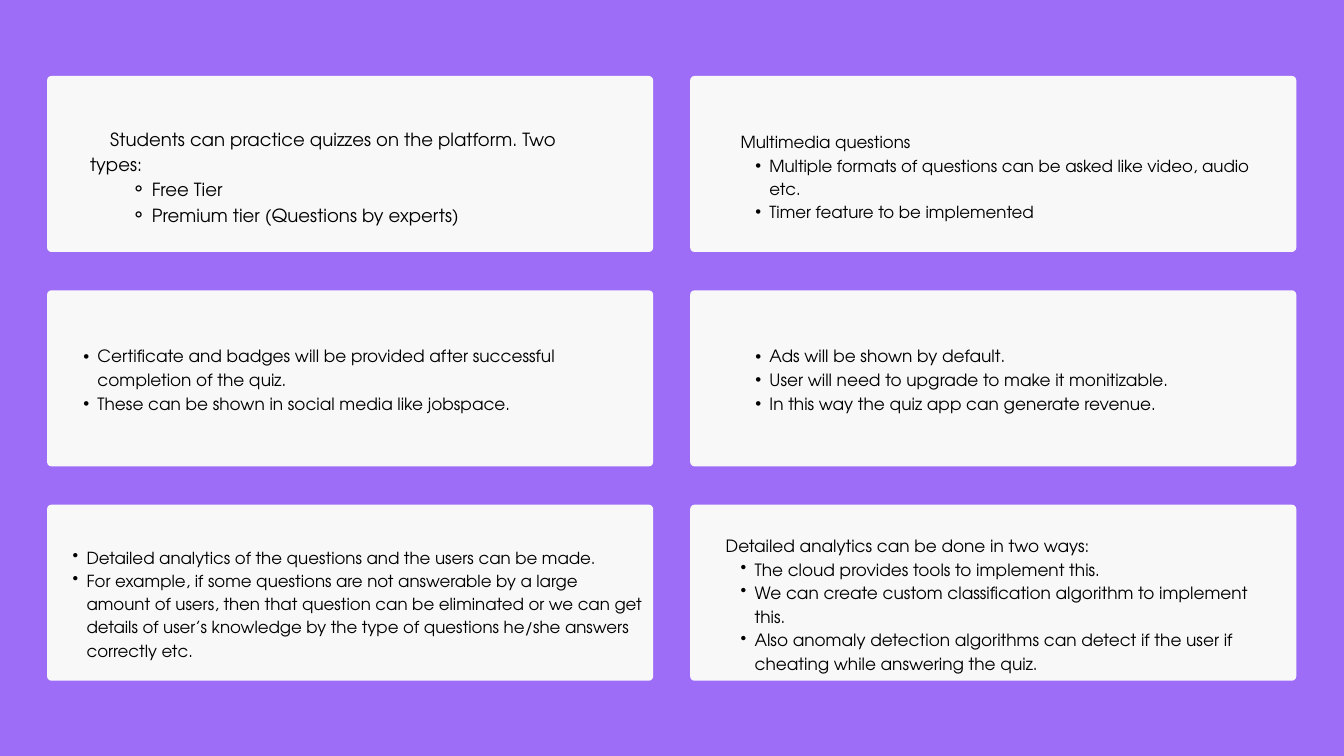
from lxml.etree import SubElement
from pptx import Presentation
from pptx.dml.color import RGBColor
from pptx.enum.shapes import MSO_SHAPE
from pptx.enum.text import MSO_ANCHOR, MSO_AUTO_SIZE, PP_ALIGN
from pptx.oxml.ns import qn
from pptx.util import Inches, Pt

PURPLE = RGBColor(0x9E, 0x6D, 0xF7)
OFF_WHITE = RGBColor(0xF8, 0xF8, 0xF8)
BLACK = RGBColor(0, 0, 0)
FONT = "TeX Gyre Adventor"
COMPARISON_LAYOUT = 4

# Card grid, in inches
GRID_LEFT, GRID_TOP = 0.7, 1.13
COLUMN_STEP, ROW_STEP = 9.57, 3.19
CARD_WIDTH, CARD_HEIGHT = 9.02, 2.62

# Bullet, left margin and hanging indent for each list level
LEVELS = {0: (None, 0, 0), 1: ("•", 0.43, -0.21), 2: ("⚬", 0.92, -0.31)}


def write_paragraph(paragraph, text, *, size, level=0, first_indent=0):
    bullet, margin, hanging = LEVELS[level]
    paragraph.level = level
    properties = paragraph._p.get_or_add_pPr()
    properties.set("marL", str(Inches(margin)))
    properties.set("indent", str(Inches(hanging or first_indent)))
    if bullet:
        SubElement(properties, qn("a:buChar")).set("char", bullet)
    else:
        SubElement(properties, qn("a:buNone"))
    paragraph.alignment = PP_ALIGN.LEFT
    paragraph.line_spacing = Pt(round(size * 1.4, 1))
    paragraph.space_before = paragraph.space_after = Pt(0)
    run = paragraph.add_run()
    run.text = text
    run.font.name, run.font.size, run.font.bold = FONT, Pt(size), False
    run.font.color.rgb = BLACK


class CardSlide:
    def __init__(self, presentation):
        layout = presentation.slide_layouts[COMPARISON_LAYOUT]
        self.slide = presentation.slides.add_slide(layout)
        fill = self.slide.background.fill
        fill.solid()
        fill.fore_color.rgb = PURPLE
        # The slide has no title; the other placeholders hold lists
        title = self.slide.shapes.title
        title._element.getparent().remove(title._element)
        self.bodies = list(self.slide.placeholders)

    def origin(self, column, row):
        return GRID_LEFT + column * COLUMN_STEP, GRID_TOP + row * ROW_STEP

    def card(self, column, row):
        left, top = self.origin(column, row)
        shape = self.slide.shapes.add_shape(
            MSO_SHAPE.ROUNDED_RECTANGLE, Inches(left), Inches(top),
            Inches(CARD_WIDTH), Inches(CARD_HEIGHT))
        shape.adjustments[0] = 0.025
        shape.shadow.inherit = False
        shape.fill.solid()
        shape.fill.fore_color.rgb = OFF_WHITE
        shape.line.fill.background()

    def text_shape(self, left, top, width, height):
        box = [Inches(length) for length in (left, top, width, height)]
        if not self.bodies:
            return self.slide.shapes.add_textbox(*box)
        shape = self.bodies.pop(0)
        shape.left, shape.top, shape.width, shape.height = box
        self.slide.shapes._spTree.append(shape._element)  # above the card
        return shape

    def list(self, column, row, inset, size, items, first_indent=0):
        """Place a list; inset is its offset in the card, then its size."""
        left, top = self.origin(column, row)
        across, down, width, height = inset
        shape = self.text_shape(left + across, top + down, width, height)
        frame = shape.text_frame
        frame.word_wrap = True
        frame.auto_size = MSO_AUTO_SIZE.SHAPE_TO_FIT_TEXT
        frame.vertical_anchor = MSO_ANCHOR.TOP
        frame.margin_left = frame.margin_right = 0
        frame.margin_top = frame.margin_bottom = 0
        for index, (level, text) in enumerate(items):
            paragraph = frame.add_paragraph() if index else frame.paragraphs[0]
            write_paragraph(paragraph, text, size=size, level=level,
                            first_indent=0 if level else first_indent)


# Column, row, inset (left, top, width, height), text size, items, first indent
CARDS = [
    (0, 0, (0.64, 0.72, 7.74, 1.11), 19.4, [
        (0, "Students can practice quizzes on the platform. Two types:"),
        (2, "Free Tier"),
        (2, "Premium tier (Questions by experts)")], 0.3),
    (1, 0, (0.75, 0.79, 7.75, 1), 17.8, [
        (0, "Multimedia questions"),
        (1, "Multiple formats of questions can be asked like video, audio etc."),
        (1, "Timer feature to be implemented")]),
    (0, 1, (0.32, 0.78, 8.38, 1.01), 18.1, [
        (1, "Certificate and badges will be provided after successful "
            "completion of the quiz."),
        (1, "These can be shown in social media like jobspace.")]),
    (1, 1, (0.75, 0.78, 7.53, 1.01), 18.1, [
        (1, "Ads will be shown by default."),
        (1, "User will need to upgrade to make it monitizable."),
        (1, "In this way the quiz app can generate revenue.")]),
    (0, 2, (0.16, 0.59, 8.7, 1.36), 17.8, [
        (1, "Detailed analytics of the questions and the users can be made."),
        (1, "For example, if some questions are not answerable by a large "
            "amount of users, then that question can be eliminated or we can "
            "get details of user’s knowledge by the type of questions he/she "
            "answers correctly etc.")]),
    (1, 2, (0.53, 0.41, 7.97, 1.7), 18.1, [
        (0, "Detailed analytics can be done in two ways:"),
        (1, "The cloud provides tools to implement this."),
        (1, "We can create custom classification algorithm to implement this."),
        (1, "Also anomaly detection algorithms can detect if the user if "
            "cheating while answering the quiz.")]),
]


def main():
    presentation = Presentation()
    presentation.slide_width = Inches(20)
    presentation.slide_height = Inches(11.25)
    card_slide = CardSlide(presentation)
    for column, row, *content in CARDS:
        card_slide.card(column, row)
        card_slide.list(column, row, *content)
    presentation.save("out.pptx")


if __name__ == "__main__":
    main()
